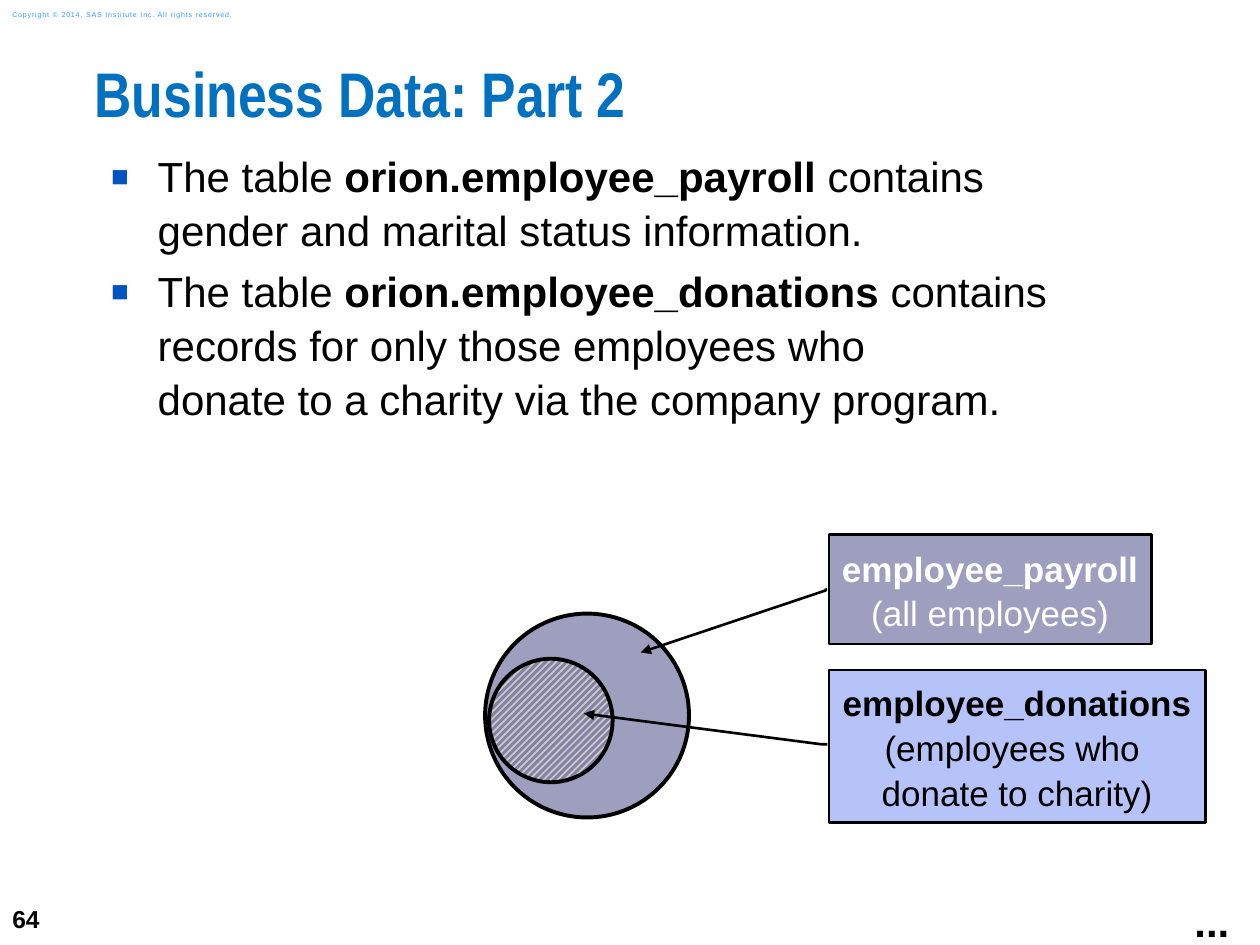
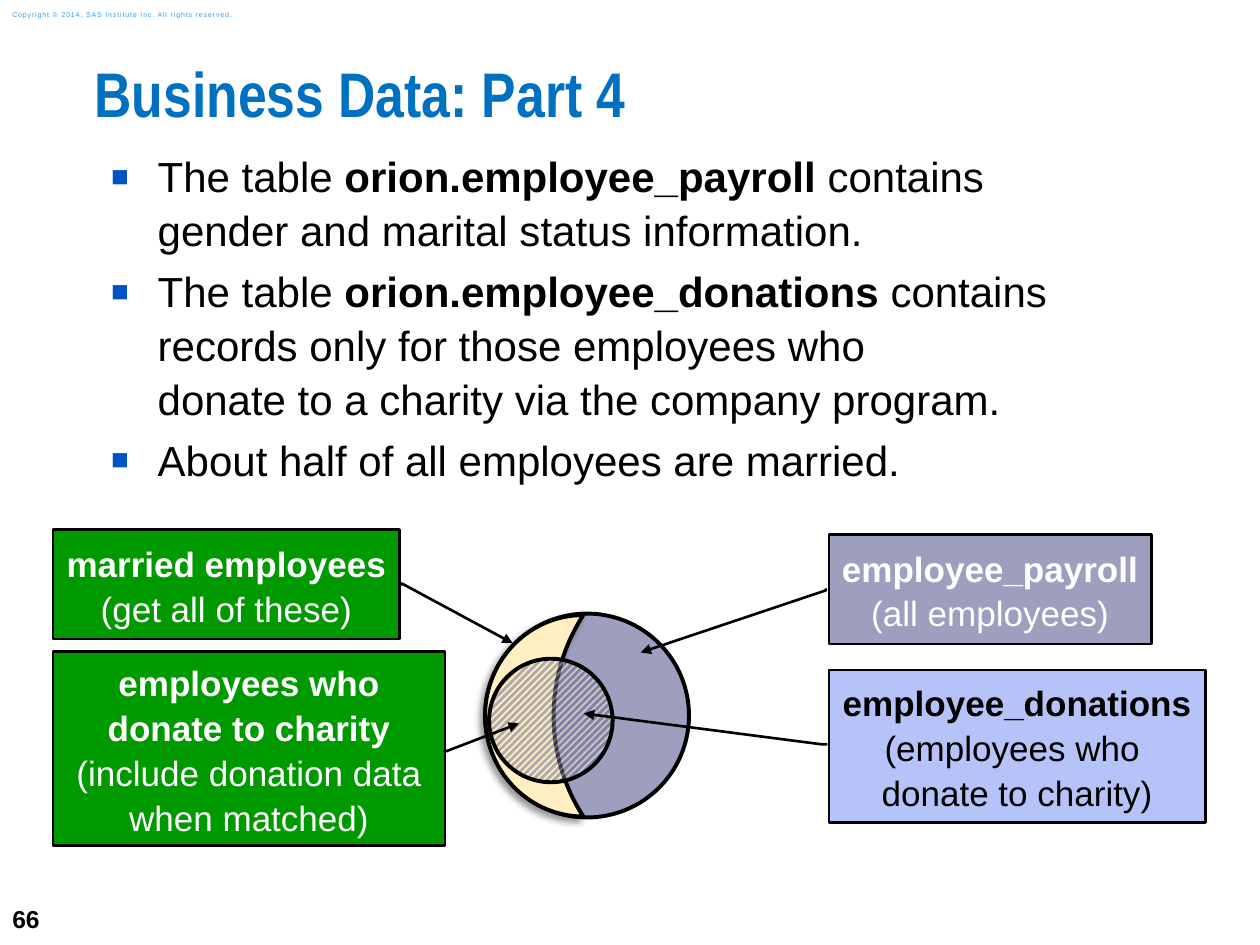
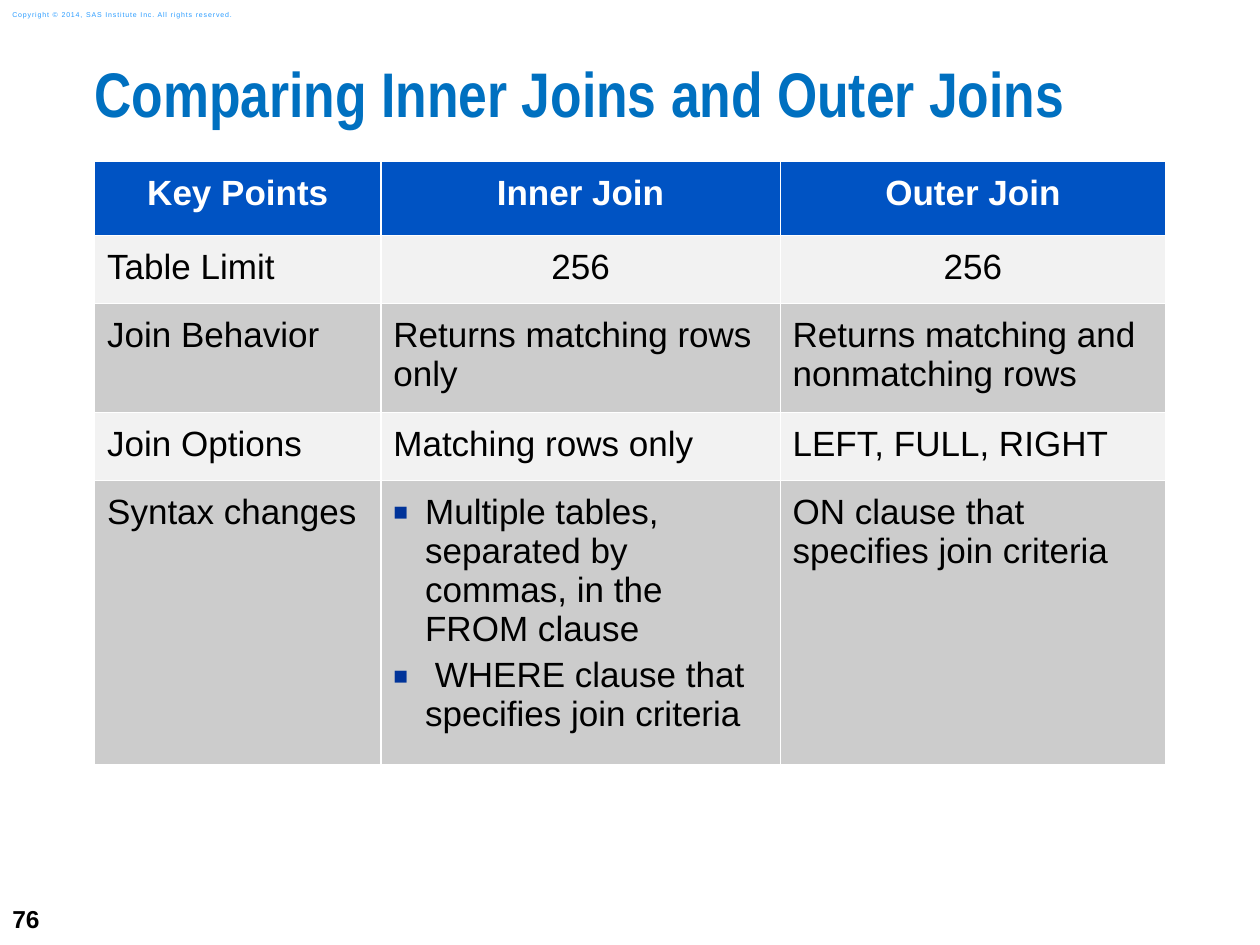
"""Build three slides on table joins."""
import lxml.etree
import pptx
import pptx.dml.color
import pptx.enum.dml
import pptx.enum.shapes
import pptx.enum.text
import pptx.oxml
import pptx.oxml.ns
import pptx.util

Cm = pptx.util.Cm
Pt = pptx.util.Pt
KINDS = pptx.enum.shapes.MSO_SHAPE
ALIGN = pptx.enum.text.PP_ALIGN
ANCHOR = pptx.enum.text.MSO_ANCHOR

HUES = {
    "title": "0070C0", "note": "2A9CFF", "black": "000000", "white": "FFFFFF",
    "head": "0053C3", "mark": "003399", "light": "F2F2F2", "dark": "CCCCCC",
    "staff": "9E9EBE", "gifts": "B6C3F8", "green": "009900", "moon": "FFEFC2",
    "stripe": "FFF2BE", "ground": "666699",
}
INSET = 0.25
TITLE_AT = (1.91, 1.35, 23.5, 1.88)
NOTE = "Copyright © 2014, SAS Institute Inc. All rights reserved."
PAYROLL = ("The table *orion.employee_payroll* contains \n"
           "gender and marital status information.")
GIFTS = ("The table *orion.employee_donations* contains records {} those "
         "employees who \ndonate to a charity via the company program.")

STAFF_BOX = dict(at=(16.71, 10.77, 6.5, 2.21), hue="staff",
                 tail=(0.495, -0.01, 0.512, -0.009, 1.079, -0.584),
                 text="*employee_payroll*\n(all employees)")
GIFT_BOX = dict(at=(16.71, 13.51, 7.59, 3.07), hue="gifts", color="black",
                tail=(0.487, -0.004, 0.487, -0.02, 0.285, -0.651),
                text="*employee_donations*\n(employees who \ndonate to charity)")
WED_BOX = dict(at=(1.07, 10.67, 6.99, 2.21), hue="green",
               tail=(0.512, 1, 0.495, 1.006, 1.04, 1.326),
               text="*married employees*\n(get all of these)")
DONOR_BOX = dict(at=(1.07, 13.13, 7.9, 3.91), hue="green", wrap=True,
                 tail=(0.509, 1, 0.518, 1, 0.372, 1.189),
                 text="*employees who donate to charity*\n"
                      "(include donation data when matched)")

ROWS = [
    ["*Key Points*", "*Inner Join*", "*Outer Join*"],
    ["Table Limit", "256", "256"],
    ["Join Behavior", "Returns matching rows only",
     "Returns matching and nonmatching rows"],
    ["Join Options", "Matching rows only", "LEFT, FULL, RIGHT"],
    ["Syntax changes",
     ["Multiple tables, separated by commas, in the FROM clause",
      " WHERE clause that specifies join criteria"],
     "ON clause that specifies join criteria"],
]
WIDTHS = [5.77, 8.05, 7.77]
HEIGHTS = [1.5, 1.37, 2.18, 1.37, 5.33]


def tint(name):
    """Return the named colour."""
    return pptx.dml.color.RGBColor.from_string(HUES[name])


def make(xml):
    """Parse one drawing element."""
    start, rest = xml.split(" ", 1)
    return pptx.oxml.parse_xml(f"{start} {pptx.oxml.ns.nsdecls('a')} {rest}")


def place(at):
    """Turn a tuple of centimetres into lengths."""
    return [Cm(size) for size in at]


def bullet(para, hue, left, hang):
    """Give a paragraph a square bullet and a hanging indent."""
    props = para._p.get_or_add_pPr()
    props.set("marL", str(Cm(left)))
    props.set("indent", str(-Cm(hang)))
    for xml in (f'<a:buClr ><a:srgbClr val="{HUES[hue]}"/></a:buClr>',
                '<a:buSzPct val="70000"/>', '<a:buFont typeface="Arial"/>',
                '<a:buChar char="■"/>'):
        props.append(make(xml))


def write(frame, text, size=20, color="black", font="Arial", align=None,
          space=None, before=0, after=0, track=0, mark=None):
    """Fill a frame with paragraphs; stars enclose bold words."""
    paras = [text] if isinstance(text, str) else text
    for count, words in enumerate(paras):
        para = frame.add_paragraph() if count else frame.paragraphs[0]
        if mark:
            bullet(para, *mark)
        para.alignment = align
        para.line_spacing = space
        para.space_before = Pt(before if count else 0)
        para.space_after = Pt(after)
        for turn, part in enumerate(words.split("*")):
            for row, line in enumerate(part.split("\n")):
                if row:
                    para.add_line_break()
                if not line:
                    continue
                run = para.add_run()
                run.text = line
                run.font.size = Pt(size)
                run.font.name = font
                run.font.bold = turn % 2 == 1
                run.font.color.rgb = tint(color)
                if track:
                    run._r.get_or_add_rPr().set("spc", str(track))


def pad(frame, side, top, wrap=True, anchor=ANCHOR.TOP):
    """Set the margins, wrapping and anchor of a frame."""
    frame.margin_left = frame.margin_right = Cm(side)
    frame.margin_top = frame.margin_bottom = Cm(top)
    frame.word_wrap = wrap
    frame.vertical_anchor = anchor


def label(slide, at, text, side=INSET, top=0.13, wrap=True,
          anchor=ANCHOR.TOP, **form):
    """Add a text box."""
    frame = slide.shapes.add_textbox(*place(at)).text_frame
    pad(frame, side, top, wrap, anchor)
    write(frame, text, **form)


def page(deck, title, num):
    """Add a slide with its title, page number and top line."""
    slide = deck.slides.add_slide(deck.slide_layouts[6])
    label(slide, (0, 17.98, 1.47, 1.07), f"*{num}*", size=14,
          anchor=ANCHOR.MIDDLE)
    label(slide, (0, 0.08, 5.36, 0.43), NOTE, size=4, color="note",
          track=50, anchor=ANCHOR.MIDDLE)
    label(slide, TITLE_AT, f"*{title}*", side=0, top=0, size=36,
          color="title", font="Arial Narrow", space=0.83)
    return slide


def points(slide, high, items):
    """Add the bulleted body text."""
    label(slide, (1.91, 2.97, 21.79, high), items, side=0, top=0, size=24,
          space=1.07, after=4, mark=("head", 1.27, 0.94))


def shape(slide, kind, at, hue=None, line=2.25):
    """Add an outlined shape, filled when a colour is given."""
    item = slide.shapes.add_shape(kind, *place(at))
    item.shadow.inherit = False
    item.line.color.rgb = tint("black")
    item.line.width = Pt(line)
    if hue:
        item.fill.solid()
        item.fill.fore_color.rgb = tint(hue)
    return item


def venn(slide, moon=False):
    """Draw the circle of staff, its striped part and maybe the moon."""
    shape(slide, KINDS.OVAL, (9.78, 12.37, 4.11, 4.11), "staff")
    if moon:
        part = shape(slide, KINDS.MOON, (9.78, 12.4, 1.98, 4.06), "moon")
        part.adjustments[0] = 0.697
        cast = part._element.spPr.find(pptx.oxml.ns.qn("a:effectLst"))
        cast.append(make(
            f'<a:outerShdw blurRad="{Pt(4)}" dist="{Pt(3)}" dir="8100000">'
            f'<a:srgbClr val="{HUES["black"]}"><a:alpha val="40000"/>'
            '</a:srgbClr></a:outerShdw>'))
    inner = shape(slide, KINDS.OVAL, (9.86, 13.28, 2.49, 2.49))
    inner.fill.patterned()
    inner.fill.pattern = pptx.enum.dml.MSO_PATTERN.WIDE_UPWARD_DIAGONAL
    inner.fill.fore_color.rgb = tint("stripe")
    inner.fill.back_color.rgb = tint("ground")
    fill = inner._element.spPr.find(pptx.oxml.ns.qn("a:pattFill"))
    for color in fill.iter(pptx.oxml.ns.qn("a:srgbClr")):
        color.append(make('<a:alpha val="50000"/>'))


def callout(slide, at, hue, tail, text, color="white", wrap=False):
    """Add a box whose bent line points into the circles."""
    box = shape(slide, KINDS.LINE_CALLOUT_2, at, hue, 1.5)
    for spot, value in enumerate(tail):
        box.adjustments[spot] = value
    box.line._get_or_add_ln().append(make('<a:tailEnd type="triangle"/>'))
    pad(box.text_frame, INSET, INSET, wrap, ANCHOR.MIDDLE)
    write(box.text_frame, text, color=color, align=ALIGN.CENTER, space=1.07)


def edge(cell):
    """Draw white lines round a cell."""
    props = cell._tc.get_or_add_tcPr()
    for spot, side in enumerate("LRTB"):
        props.insert(spot, make(
            f'<a:ln{side} w="{Pt(1)}"><a:solidFill><a:srgbClr '
            f'val="{HUES["white"]}"/></a:solidFill></a:ln{side}>'))


def grid(slide):
    """Add the table that compares the joins."""
    at = (1.91, 3.25, sum(WIDTHS), sum(HEIGHTS))
    table = slide.shapes.add_table(len(ROWS), len(WIDTHS), *place(at)).table
    for col, width in zip(table.columns, WIDTHS):
        col.width = Cm(width)
    for row, (high, texts) in enumerate(zip(HEIGHTS, ROWS)):
        table.rows[row].height = Cm(high)
        hue = "head" if row == 0 else "light" if row % 2 else "dark"
        for col, text in enumerate(texts):
            cell = table.cell(row, col)
            cell.margin_left = cell.margin_right = Cm(INSET)
            cell.margin_top = cell.margin_bottom = Cm(INSET)
            cell.fill.solid()
            cell.fill.fore_color.rgb = tint(hue)
            edge(cell)
            mid = row == 0 or text == "256"
            write(cell.text_frame, text, before=4,
                  color="black" if row else "white",
                  align=ALIGN.CENTER if mid else None,
                  mark=("mark", 0.64, 0.64) if isinstance(text, list) else None)


def main():
    """Build and save the deck."""
    deck = pptx.Presentation()
    deck.slide_width, deck.slide_height = Cm(25.4), Cm(19.05)

    slide = page(deck, "Business Data: Part 2", 64)
    points(slide, 10.59, [PAYROLL, GIFTS.format("for only")])
    venn(slide)
    callout(slide, **GIFT_BOX)
    label(slide, (23.83, 17.93, 1.22, 1.3), "*...*", size=24, wrap=False)
    callout(slide, **STAFF_BOX)

    slide = page(deck, "Business Data: Part 4", 66)
    venn(slide, moon=True)
    points(slide, 8.56, [PAYROLL, GIFTS.format("only for"),
                         "About half of all employees are married."])
    for box in (STAFF_BOX, GIFT_BOX, WED_BOX, DONOR_BOX):
        callout(slide, **box)

    grid(page(deck, "Comparing Inner Joins and Outer Joins", 76))
    deck.save("out.pptx")


if __name__ == "__main__":
    main()
